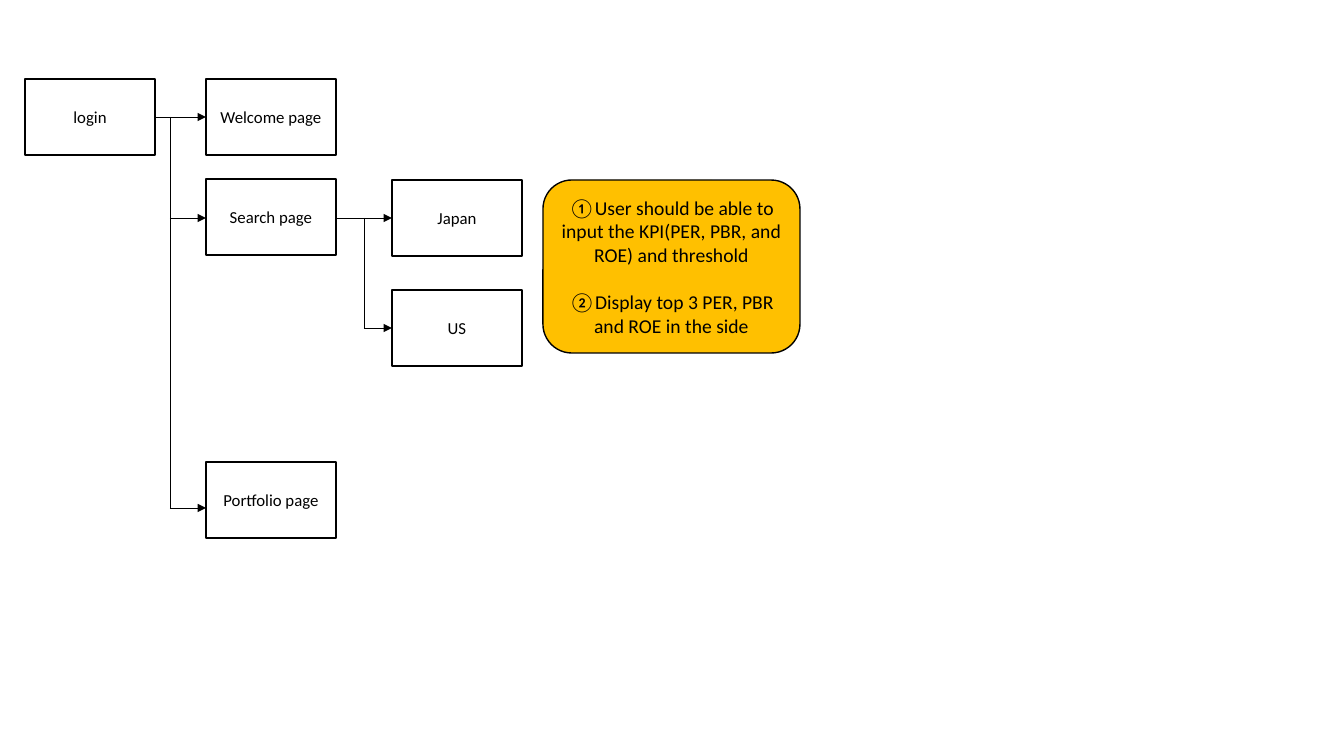
from pptx import Presentation
from pptx.dml.color import RGBColor
from pptx.enum.shapes import MSO_CONNECTOR, MSO_SHAPE
from pptx.enum.text import MSO_ANCHOR, PP_ALIGN
from pptx.oxml.ns import qn
from pptx.util import Emu, Pt
from lxml import etree

RECTANGLE = MSO_SHAPE.RECTANGLE
ROUNDED = MSO_SHAPE.ROUNDED_RECTANGLE
STRAIGHT = MSO_CONNECTOR.STRAIGHT
MIDDLE = MSO_ANCHOR.MIDDLE
CENTER = PP_ALIGN.CENTER

BLACK = RGBColor(0x00, 0x00, 0x00)
WHITE = RGBColor(0xFF, 0xFF, 0xFF)
AMBER = RGBColor(0xFF, 0xC0, 0x00)
FONT = "Calibri"
PIXEL = 914400 / 100.8
PAGE_WIDTH, PAGE_HEIGHT = 130, 76


def emu(pixels):
    return Emu(round(pixels * PIXEL))


def add_box(slide, kind, box, fill, text, size, gap=0):
    shape = slide.shapes.add_shape(kind, *map(emu, box))
    shape.shadow.inherit = False
    shape.fill.solid()
    shape.fill.fore_color.rgb = fill
    shape.line.color.rgb = BLACK
    shape.line.width = Pt(1)
    frame = shape.text_frame
    frame.word_wrap = True
    frame.vertical_anchor = MIDDLE
    frame.text = text
    for para in frame.paragraphs:
        para.alignment = CENTER
        for span in para.runs:
            span.font.name = FONT
            span.font.size = Pt(size)
            span.font.color.rgb = BLACK
    for para in frame.paragraphs[:-1]:
        para.space_after = Pt(gap)


def add_page(slide, left, top, text):
    add_box(slide, RECTANGLE, (left, top, PAGE_WIDTH, PAGE_HEIGHT), WHITE, text, 12)


def add_line(slide, start, end, arrow=True):
    line = slide.shapes.add_connector(STRAIGHT, *map(emu, (*start, *end)))
    line.line.color.rgb = BLACK
    line.line.width = Pt(0.5)
    if arrow:
        etree.SubElement(line.line._get_or_add_ln(), qn("a:tailEnd"), type="triangle")
    etree.SubElement(line._element.spPr, qn("a:effectLst"))


def draw_branches(slide, box, trunk, pages):
    left, top, width, height = box
    page_left = left + width - PAGE_WIDTH
    for index, (text, offset, arrow_offset) in enumerate(pages):
        add_page(slide, page_left, top + offset, text)
        level = top + arrow_offset
        start = left if index == 0 else left + trunk
        add_line(slide, (start, level), (page_left, level))
    ends = [(left + trunk, top + pages[index][2]) for index in (0, -1)]
    add_line(slide, *ends, arrow=False)


def draw_site_map(slide, box):
    left, top, width, height = box
    add_page(slide, left, top, "login")
    branches = (left + PAGE_WIDTH, top, width - PAGE_WIDTH, height)
    draw_branches(slide, branches, 15, [
        ("Welcome page", 0, 38),
        ("Search page", 100, 139),
        ("Portfolio page", 383, 429),
    ])


def draw_markets(slide, box):
    draw_branches(slide, box, 28, [("Japan", 0, 38), ("US", 110, 148)])


def draw_requirements(slide, box):
    text = "\n".join([
        "①User should be able to input the KPI(PER, PBR, and ROE) and threshold",
        "②Display top 3 PER, PBR and ROE in the side",
    ])
    add_box(slide, ROUNDED, box, AMBER, text, 14, gap=17)


deck = Presentation()
deck.slide_width = emu(1344)
deck.slide_height = emu(756)
slide = deck.slides.add_slide(deck.slide_layouts[6])
draw_site_map(slide, (25, 79, 311, 459))
draw_markets(slide, (336, 180, 186, 186))
draw_requirements(slide, (543, 180, 257, 173))
deck.save("out.pptx")
